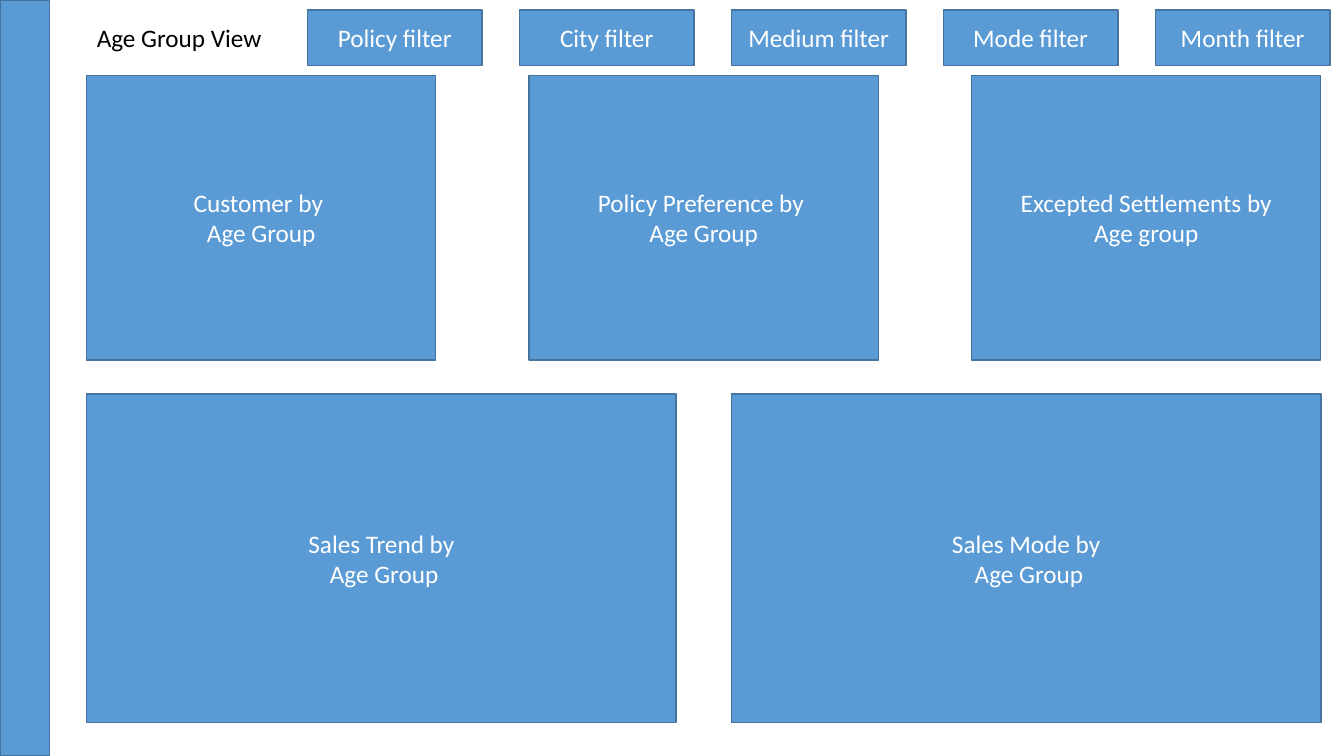
import dataclasses

import pptx
import pptx.dml.color
import pptx.enum.shapes
import pptx.enum.text
import pptx.slide
import pptx.text.text
import pptx.util

FONT = "Calibri"
TEXT_SIZE = 18
PANEL_BLUE = "5B9BD5"
BORDER_BLUE = "43739E"
WHITE = "FFFFFF"
BLACK = "000000"
SLIDE_WIDTH, SLIDE_HEIGHT = 960, 540
CONTENT_LEFT = 61.9


@dataclasses.dataclass(frozen=True)
class PanelRow:
    left: float
    top: float
    width: float
    height: float
    pitch: float
    labels: tuple[str, ...]


PANEL_ROWS = (
    PanelRow(0, 0, 35.5, SLIDE_HEIGHT, 0, ("",)),
    PanelRow(
        219.6, 7.2, 124.8, 39.6, 151.4,
        ("Policy filter", "City filter", "Medium filter", "Mode filter", "Month filter"),
    ),
    PanelRow(
        CONTENT_LEFT, 54, 249.4, 203.2, 316.1,
        (
            "Customer by \nAge Group",
            "Policy Preference by \nAge Group",
            "Excepted Settlements by\nAge group",
        ),
    ),
    PanelRow(
        CONTENT_LEFT, 281.6, 421, 234.7, 460.6,
        ("Sales Trend by\n Age Group", "Sales Mode by\n Age Group"),
    ),
)


def color(hex_value: str) -> pptx.dml.color.RGBColor:
    return pptx.dml.color.RGBColor.from_string(hex_value)


def write_text(
    frame: pptx.text.text.TextFrame,
    words: str,
    hex_value: str,
    alignment: pptx.enum.text.PP_ALIGN,
) -> None:
    frame.text = words
    frame.vertical_anchor = pptx.enum.text.MSO_ANCHOR.MIDDLE
    for paragraph in frame.paragraphs:
        paragraph.alignment = alignment
        for run in paragraph.runs:
            run.font.name = FONT
            run.font.size = pptx.util.Pt(TEXT_SIZE)
            run.font.color.rgb = color(hex_value)


def draw_title(slide: pptx.slide.Slide) -> None:
    view_title = slide.shapes.title
    view_title.left = pptx.util.Pt(CONTENT_LEFT)
    view_title.top = pptx.util.Pt(12.5)
    view_title.width = pptx.util.Pt(134)
    view_title.height = pptx.util.Pt(29)
    frame = view_title.text_frame
    write_text(frame, "Age Group View", BLACK, pptx.enum.text.PP_ALIGN.LEFT)
    frame.word_wrap = False
    frame.auto_size = pptx.enum.text.MSO_AUTO_SIZE.NONE


def draw_panel_row(slide: pptx.slide.Slide, row: PanelRow) -> None:
    for column, label in enumerate(row.labels):
        panel = slide.shapes.add_shape(
            pptx.enum.shapes.MSO_SHAPE.RECTANGLE,
            pptx.util.Pt(row.left + column * row.pitch),
            pptx.util.Pt(row.top),
            pptx.util.Pt(row.width),
            pptx.util.Pt(row.height),
        )
        panel.shadow.inherit = False
        panel.fill.solid()
        panel.fill.fore_color.rgb = color(PANEL_BLUE)
        panel.line.color.rgb = color(BORDER_BLUE)
        panel.line.width = pptx.util.Pt(1)
        if label:
            write_text(panel.text_frame, label, WHITE, pptx.enum.text.PP_ALIGN.CENTER)


def main() -> None:
    presentation = pptx.Presentation()
    presentation.slide_width = pptx.util.Pt(SLIDE_WIDTH)
    presentation.slide_height = pptx.util.Pt(SLIDE_HEIGHT)
    title_only = presentation.slide_layouts.get_by_name("Title Only")
    slide = presentation.slides.add_slide(title_only)
    draw_title(slide)
    for row in PANEL_ROWS:
        draw_panel_row(slide, row)
    presentation.save("out.pptx")


if __name__ == "__main__":
    main()
